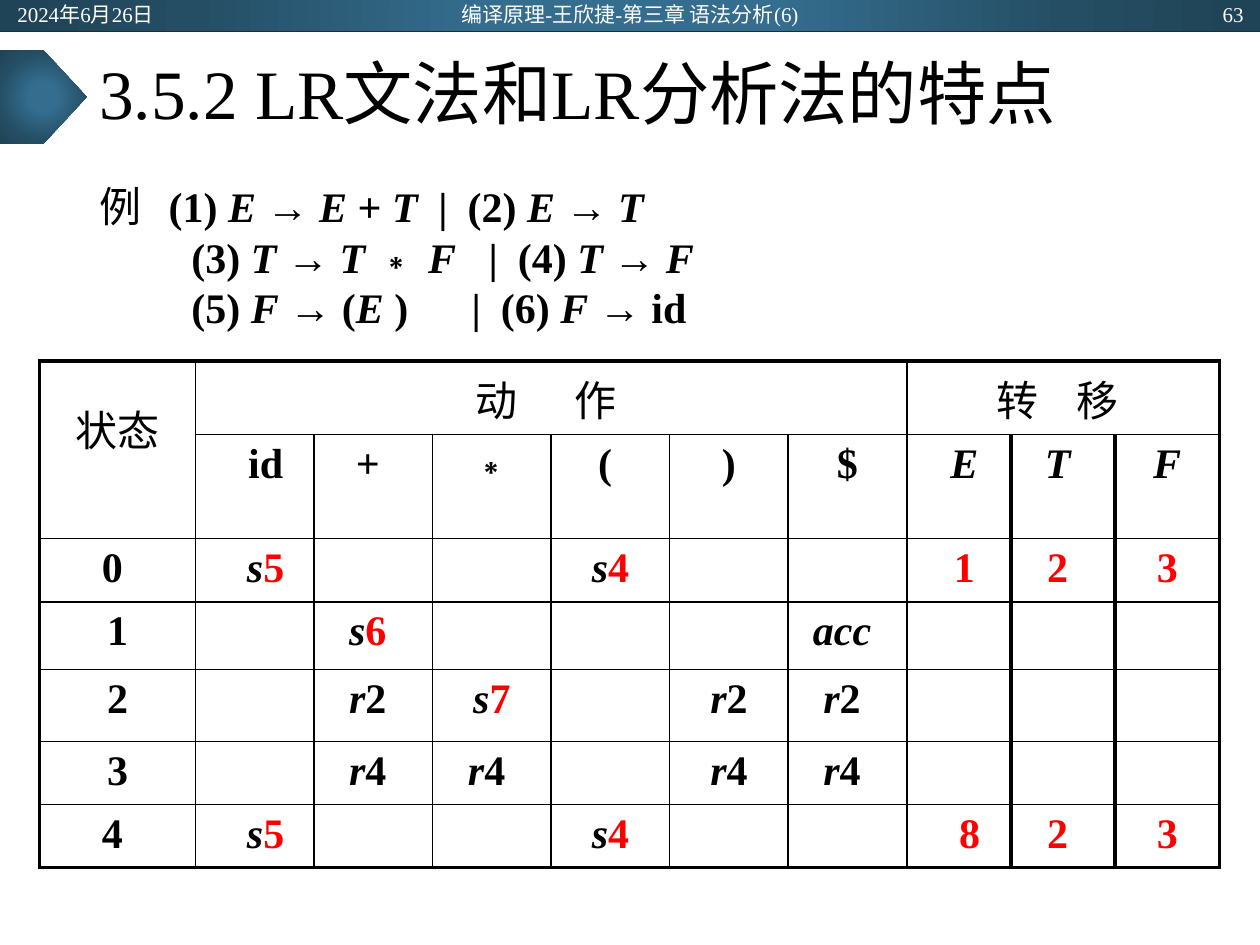
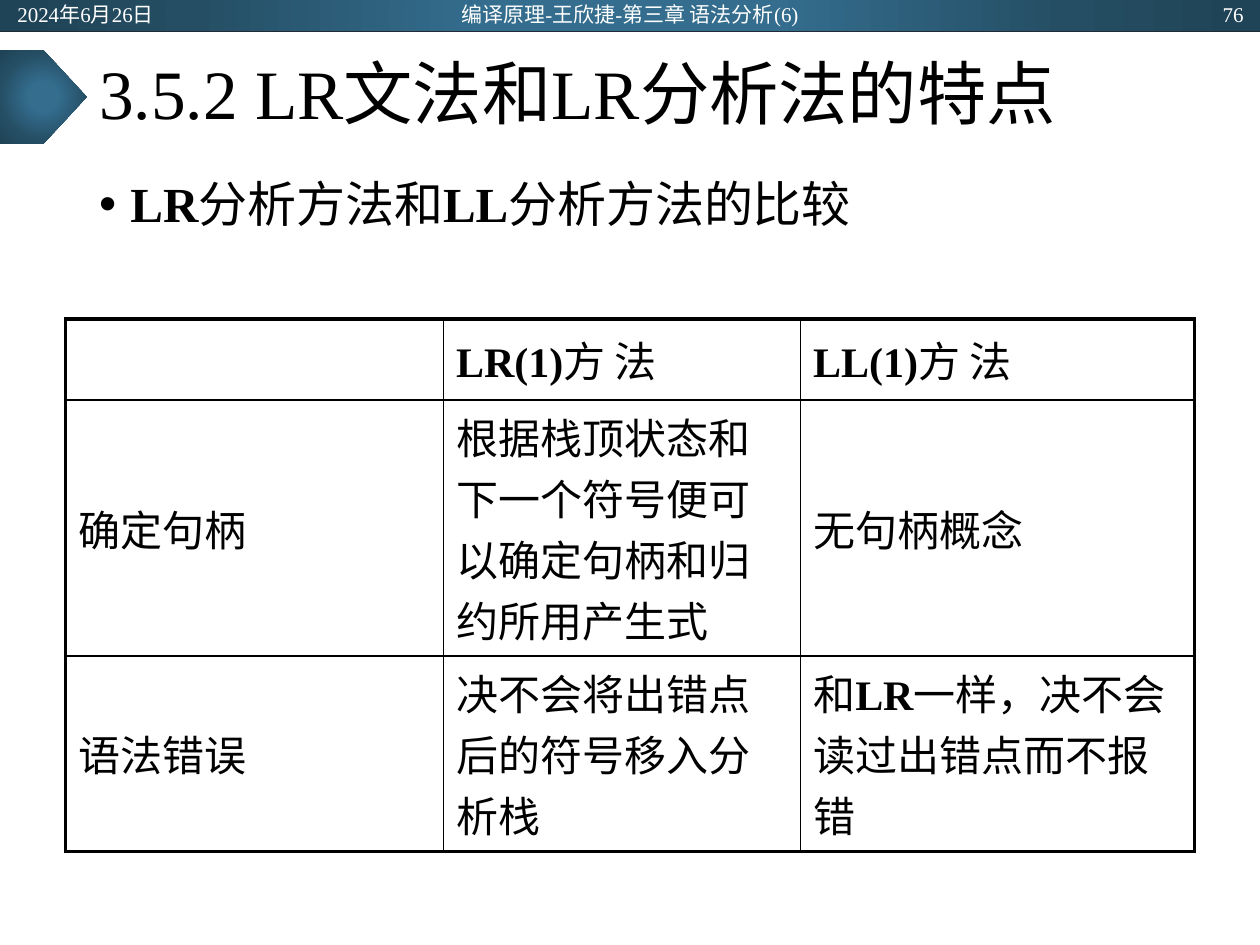
from itertools import groupby

from lxml import etree
from pptx import Presentation
from pptx.dml.color import RGBColor as RGB
from pptx.enum.shapes import MSO_CONNECTOR as CONNECTOR, MSO_SHAPE as SHAPE
from pptx.enum.text import MSO_ANCHOR as ANCHOR, PP_ALIGN as ALIGN
from pptx.oxml.ns import qn
from pptx.util import Cm, Pt

COLORS = {"ink": "000000", "paper": "FFFFFF", "red": "FF0000", "rule": "222A35",
          "glow": "346D8E", "mid": "254E64", "edge": "204457"}
GRADIENT = [(0, "glow"), (23, "glow"), (69, "mid"), (97, "edge")]
LATIN, CJK = "Times New Roman", "Noto Sans CJK SC"
SLIDE_W, SLIDE_H = 25.4, 19.05
BAND_H = 0.64
TITLE_BOX = (1.75, 0.64, 21.9, 2.64)
BODY_BOX = (1.75, 3.5, 21.9, 3.4)
THIN, THICK = 1, 2.25
HALF_SPACE = 0.11

TITLE = "3.5.2 LR文法和LR分析法的特点"
DATE = "2024年6月26日"
COURSE = "编译原理-王欣捷-第三章 语法分析(6)"

# Each grammar line with its tab stops
GRAMMAR = [
    ("例\t(1) E → E + T\t|\t(2) E → T", (1.4, 6.84, 7.43)),
    ("\t(3) T → T ∗ F\t|\t(4) T → F", (1.86, 7.85, 8.44)),
    ("\t(5) F → (E )\t|\t(6) F → id", (1.86, 7.51, 8.1)),
]

# LR parsing table: state, six actions, three gotos
PARSING = [
    ["状态", "动 作", "", "", "", "", "", "转 移", "", ""],
    ["", "id", "+", "∗", "( ", ")", " $", "E", "T", "F"],
    ["0 ", "s5", "", "", "s4", "", "", "1", "2", "3"],
    ["1", "", "s6", "", "", "", "acc", "", "", ""],
    ["2", "", "r2", "s7", "", "r2", "r2", "", "", ""],
    ["3", "", "r4", "r4 ", "", "r4", "r4", "", "", ""],
    ["4 ", "s5", "", "", "s4", "", "", " 8", "2", "3"],
]
PARSING_COLS = [3.14] + [2.39] * 6 + [2.1] * 3
PARSING_ROWS = [1.48, 2.1, 1.27, 1.37, 1.45, 1.27, 1.27]
PARSING_SHIFTS = [0, 2, -1, 0, 0, 0, -1, 1, -1, 0]  # in half spaces
FIRST_GOTO = 7
HEADING_GAPS = {1: 27, FIRST_GOTO: 16}  # points added to the space

COMPARISON = [
    ["", "LR(1)方 法", "LL(1)方 法"],
    ["确定句柄", "根据栈顶状态和下一个符号便可以确定句柄和归约所用产生式", "无句柄概念"],
    ["语法错误", "决不会将出错点后的符号移入分析栈", "和LR一样，决不会读过出错点而不报错"],
]


def rgb(name):
    return RGB.from_string(COLORS[name])


def char_kind(char):
    if char > "\u2e7f":
        return "cjk"
    return "letter" if char.isalpha() else "symbol"


def write(paragraph, text, size, color="ink", bold=True, math=False, red_digits=False):
    """Chinese stays regular; math sets variables in italics."""
    for kind, chars in groupby(text, char_kind):
        part = "".join(chars)
        run = paragraph.add_run()
        run.text = part
        look = {"name": CJK if bold and kind == "cjk" else LATIN,
                "size": Pt(size),
                "bold": bold and kind != "cjk",
                "italic": math and kind == "letter" and part != "id"}
        for key, value in look.items():
            setattr(run.font, key, value)
        is_red = red_digits and part.strip().isdigit()
        run.font.color.rgb = rgb("red" if is_red else color)
        etree.SubElement(run._r.get_or_add_rPr(), qn("a:ea"), typeface=CJK)


def add_text_box(slide, box, anchor=ANCHOR.TOP, side=0.25, vertical=0.13):
    frame = slide.shapes.add_textbox(*map(Cm, box)).text_frame
    settings = {"word_wrap": True, "vertical_anchor": anchor,
                "margin_left": Cm(side), "margin_right": Cm(side),
                "margin_top": Cm(vertical), "margin_bottom": Cm(vertical)}
    for key, value in settings.items():
        setattr(frame, key, value)
    return frame


def add_glow_shape(slide, kind, box):
    shape = slide.shapes.add_shape(kind, *map(Cm, box))
    shape.shadow.inherit = False
    shape.line.fill.background()
    shape.fill.gradient()
    grad = shape._element.spPr.find(qn("a:gradFill"))
    for child in list(grad):
        grad.remove(child)
    stops = etree.SubElement(grad, qn("a:gsLst"))
    for position, name in GRADIENT:
        stop = etree.SubElement(stops, qn("a:gs"), pos=str(position * 1000))
        etree.SubElement(stop, qn("a:srgbClr"), val=COLORS[name])
    path = etree.SubElement(grad, qn("a:path"), path="circle")
    etree.SubElement(path, qn("a:fillToRect"), {side: "50000" for side in "ltrb"})


def add_band(slide, number):
    # Bar with a rule below
    add_glow_shape(slide, SHAPE.RECTANGLE, (0, 0, SLIDE_W, BAND_H))
    rule = slide.shapes.add_connector(CONNECTOR.STRAIGHT, 0, Cm(BAND_H), Cm(SLIDE_W), Cm(BAND_H))
    rule.line.width = Pt(0.5)
    rule.line.color.rgb = rgb("rule")
    etree.SubElement(rule._element.spPr, qn("a:effectLst"))
    # Date, course and slide number
    for text, left, width, align in [(DATE, 0.1, 5.72, ALIGN.LEFT),
                                     (COURSE, 8.41, 8.58, ALIGN.CENTER),
                                     (str(number), 19.6, 5.72, ALIGN.RIGHT)]:
        frame = add_text_box(slide, (left, 0.03, width, 0.5), ANCHOR.MIDDLE, vertical=0)
        frame.paragraphs[0].alignment = align
        write(frame.paragraphs[0], text, 12, "paper", bold=False)


def add_title(slide, box):
    left, top, _, _ = box
    add_glow_shape(slide, SHAPE.PENTAGON, (0, top + 0.37, left, 1.89))
    heading = add_text_box(slide, box, ANCHOR.MIDDLE).paragraphs[0]
    heading.line_spacing = 0.9
    write(heading, TITLE, 39.6, bold=False)


def add_grammar(slide, box):
    frame = add_text_box(slide, box)
    for index, (text, stops) in enumerate(GRAMMAR):
        line = frame.paragraphs[0] if index == 0 else frame.add_paragraph()
        line.line_spacing = Pt(29)
        tabs = etree.SubElement(line._p.get_or_add_pPr(), qn("a:tabLst"))
        for stop in stops:
            etree.SubElement(tabs, qn("a:tab"), pos=str(Cm(stop)), algn="l")
        write(line, text, 24, math=True)


def add_topic(slide, box):
    topic = add_text_box(slide, box).paragraphs[0]
    topic.line_spacing = 0.9
    props = topic._p.get_or_add_pPr()
    props.set("marL", str(Cm(0.63)))
    props.set("indent", str(-Cm(0.63)))
    etree.SubElement(props, qn("a:buFont"), typeface="Arial")
    etree.SubElement(props, qn("a:buChar"), char="•")
    write(topic, "LR分析方法和LL分析方法的比较", 28)


def add_grid(slide, left, top, cols, rows):
    frame = slide.shapes.add_table(len(rows), len(cols), Cm(left), Cm(top),
                                   Cm(sum(cols)), Cm(sum(rows)))
    grid = frame.table
    grid.first_row = grid.horz_banding = False
    for column, width in zip(grid.columns, cols):
        column.width = Cm(width)
    for row, height in zip(grid.rows, rows):
        row.height = Cm(height)
    return grid


def draw_borders(grid, thick_columns=()):
    """Thick outer frame, thin inside, thick left edges of the given columns."""
    last_row, last_col = len(grid.rows), len(grid.columns)
    for r in range(last_row):
        edges = {0, last_col} | (set(thick_columns) if r else set())
        for c in range(last_col):
            cell = grid.cell(r, c)
            right = c + (cell.span_width if cell.is_merge_origin else 1)
            bottom = r + (cell.span_height if cell.is_merge_origin else 1)
            heavy = {"a:lnL": c in edges, "a:lnR": right in edges,
                     "a:lnT": r == 0, "a:lnB": bottom == last_row}
            props = cell._tc.get_or_add_tcPr()
            for tag, is_heavy in heavy.items():
                line = etree.SubElement(props, qn(tag), w=str(Pt(THICK if is_heavy else THIN)))
                fill = etree.SubElement(line, qn("a:solidFill"))
                etree.SubElement(fill, qn("a:srgbClr"), val=COLORS["ink"])
            cell.fill.background()


def add_parsing_table(slide, left, top):
    grid = add_grid(slide, left, top, PARSING_COLS, PARSING_ROWS)
    # Merged headings
    for start, end in [((0, 0), (1, 0)), ((0, 1), (0, 6)), ((0, 7), (0, 9))]:
        grid.cell(*start).merge(grid.cell(*end))
    for r, texts in enumerate(PARSING):
        for c, text in enumerate(texts):
            cell = grid.cell(r, c)
            entry = cell.text_frame.paragraphs[0]
            entry.alignment = ALIGN.CENTER
            shift = PARSING_SHIFTS[c] * HALF_SPACE if r else -HALF_SPACE * (c > 0)
            cell.margin_left = Cm(0.25 + max(shift, 0) * 2)
            cell.margin_right = Cm(0.25 + max(-shift, 0) * 2)
            is_red = r > 1 and (c >= FIRST_GOTO or text.startswith("s"))
            write(entry, text, 24, math=True, red_digits=is_red)
    # Wide gap inside the group headings
    for c, gap in HEADING_GAPS.items():
        space = grid.cell(0, c).text_frame.paragraphs[0].runs[1]
        space._r.get_or_add_rPr().set("spc", str(gap * 100))
    grid.cell(0, 0).text_frame.paragraphs[0].line_spacing = 1.5
    draw_borders(grid, thick_columns=(FIRST_GOTO + 1, FIRST_GOTO + 2))


def add_comparison_table(slide, left, top):
    grid = add_grid(slide, left, top, [7.62, 7.2, 7.94], [1.63, 5.16, 3.94])
    for r, texts in enumerate(COMPARISON):
        for c, text in enumerate(texts):
            cell = grid.cell(r, c)
            cell.vertical_anchor = ANCHOR.MIDDLE
            write(cell.text_frame.paragraphs[0], text, 24)
    draw_borders(grid)


def add_lecture_slide(deck, number):
    slide = deck.slides.add_slide(deck.slide_layouts[6])
    add_band(slide, number)
    add_title(slide, TITLE_BOX)
    return slide


def main():
    deck = Presentation()
    deck.slide_width, deck.slide_height = Cm(SLIDE_W), Cm(SLIDE_H)

    example = add_lecture_slide(deck, 63)
    add_grammar(example, BODY_BOX)
    add_parsing_table(example, 0.8, 7.28)

    contrast = add_lecture_slide(deck, 76)
    add_topic(contrast, BODY_BOX)
    add_comparison_table(contrast, 1.32, 6.43)

    deck.save("out.pptx")


if __name__ == "__main__":
    main()
